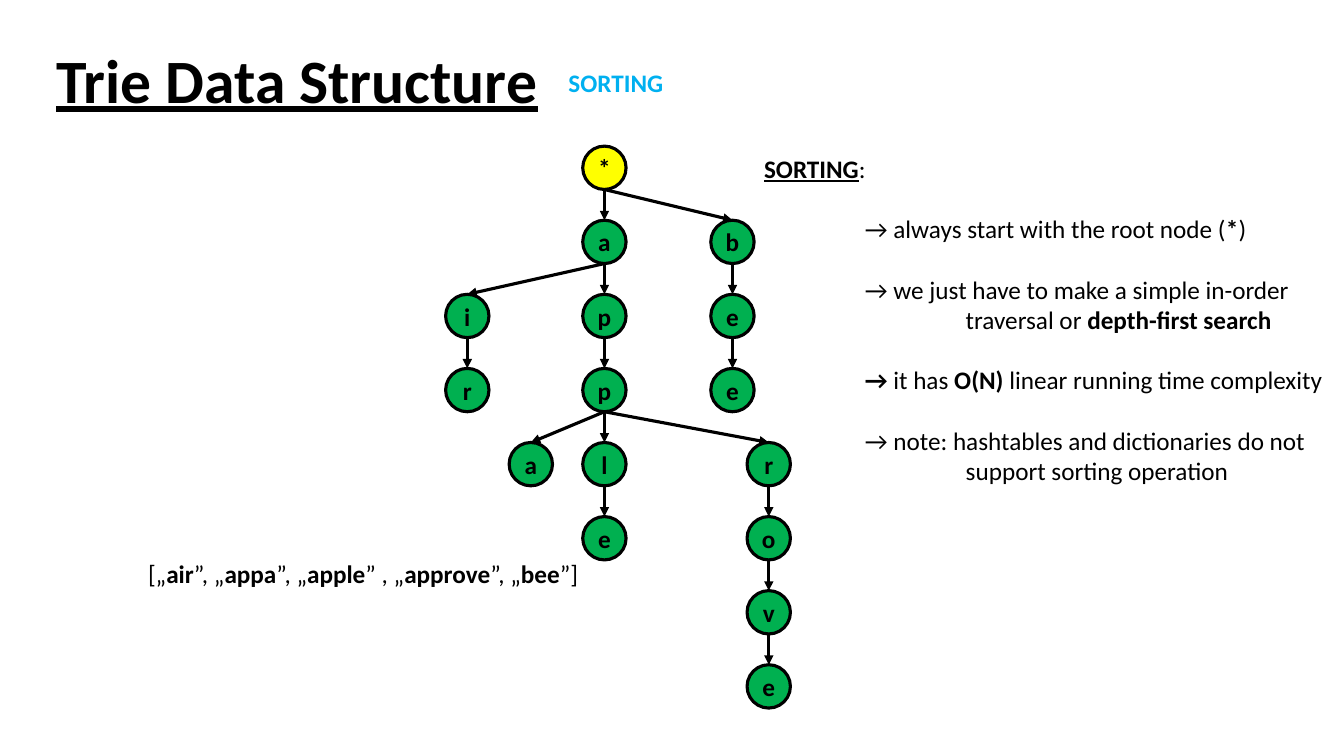
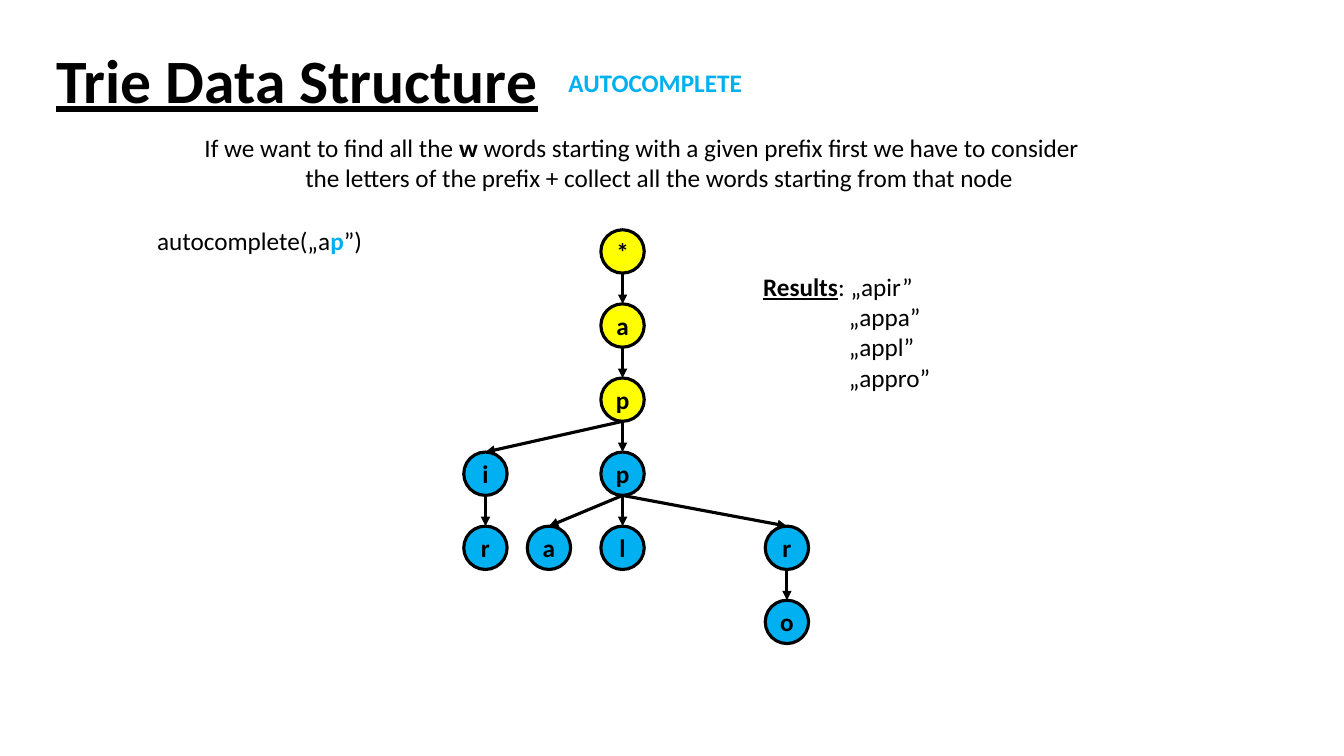
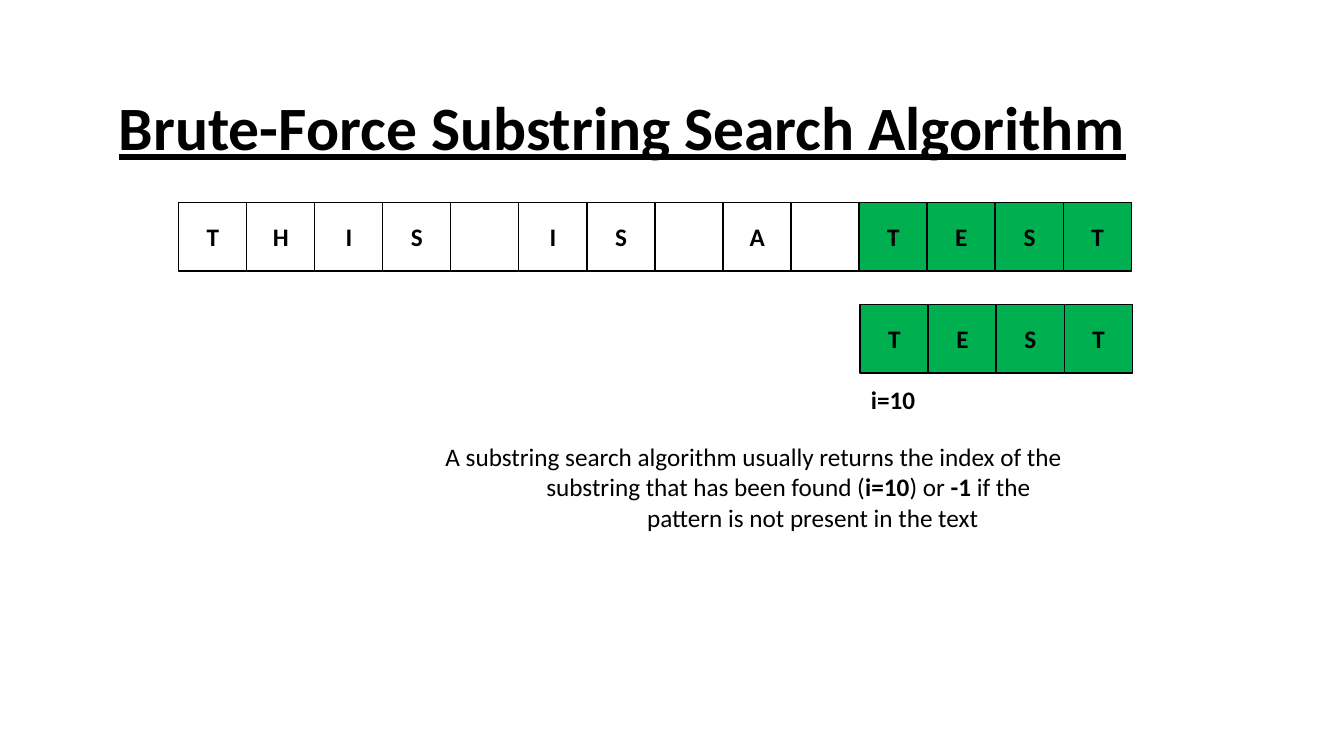
from lxml import etree
from pptx import Presentation
from pptx.dml.color import RGBColor
from pptx.enum.shapes import MSO_CONNECTOR, MSO_SHAPE
from pptx.enum.text import MSO_ANCHOR, MSO_AUTO_SIZE, PP_ALIGN
from pptx.oxml.ns import qn
from pptx.util import Inches, Pt

COLORS = {"black": "000000", "white": "FFFFFF", "green": "00B050",
          "yellow": "FFFF00", "blue": "00B0F0"}
RGB = {name: RGBColor.from_string(value) for name, value in COLORS.items()}
BODY = {"name": "Calibri", "size": Pt(18), "bold": False}
TITLE = {"name": "Calibri", "size": Pt(44), "bold": True, "underline": True}
CENTERED = {"word_wrap": False, "vertical_anchor": MSO_ANCHOR.MIDDLE,
            "margin_left": 0, "margin_right": 0, "margin_top": 0, "margin_bottom": 0}
LINE_GAP = 21.6

deck = Presentation()
deck.slide_width, deck.slide_height = Inches(13.33), Inches(7.5)


def write(frame, paragraphs, base=BODY, align=PP_ALIGN.LEFT):
    """Fill a frame from (text, indent, space before, emphasis); |bars| mark emphasis."""
    for number, (text, indent, gap, emphasis) in enumerate(paragraphs):
        para = frame.paragraphs[0] if number == 0 else frame.add_paragraph()
        para.alignment = align
        para.space_before = Pt(gap)
        para._p.get_or_add_pPr().set("marL", str(Inches(indent)))
        for part, words in enumerate(text.split("|")):
            if not words:
                continue
            span = para.add_run()
            span.text = words
            style = dict(base, color="black")
            if part % 2:
                style.update({"bold": True}, **emphasis)
            span.font.color.rgb = RGB[style.pop("color")]
            for key, value in style.items():
                setattr(span.font, key, value)


def add_shape_with_letter(page, kind, left, top, size, fill, line_width, letter):
    shape = page.shapes.add_shape(kind, Inches(left), Inches(top), Inches(size), Inches(size))
    shape.shadow.inherit = False
    shape.fill.solid()
    shape.fill.fore_color.rgb = RGB[fill]
    shape.line.color.rgb = RGB["black"]
    shape.line.width = Pt(line_width)
    for key, value in CENTERED.items():
        setattr(shape.text_frame, key, value)
    if letter.strip():
        write(shape.text_frame, [(f"|{letter}|", 0, 0, {})], align=PP_ALIGN.CENTER)


# Slide contents: title and text boxes (left, top, width, height, paragraphs)
UNDERLINED = {"underline": True}
BLUE = {"color": "blue"}
contents = [
    ("Trie Data Structure", 0.46, 0.1, [
        (5.54, 0.62, 1.4, 0.4, [("|SORTING|", 0, 0, BLUE)]),
        (7.48, 1.47, 5.82, 3.43, [
            ("|SORTING|:", 0, 0, UNDERLINED),
            ("→ always start with the root node (|*|)", 1, LINE_GAP, {}),
            ("→ we just have to make a simple in-order", 1, LINE_GAP, {}),
            ("traversal or |depth-first search|", 2, 0, {}),
            ("|→ |it has |O(N) |linear running time complexity", 1, LINE_GAP, {}),
            ("→ note: hashtables and dictionaries do not", 1, LINE_GAP, {}),
            ("support sorting operation", 2, 0, {})]),
        (1.37, 5.49, 4.6, 0.4, [
            ("[„|air|”, „|appa|”, „|apple|” , „|approve|”, „|bee|”]", 0, 0, {})]),
    ]),
    ("Trie Data Structure", 0.46, 0.1, [
        (5.54, 0.62, 2.2, 0.4, [("|AUTOCOMPLETE|", 0, 0, BLUE)]),
        (1.93, 1.26, 9.2, 0.7, [
            ("If we want to find all the |w |words starting with a given prefix "
             "first we have to consider", 0, 0, {}),
            ("the letters of the prefix + collect all the words starting from that node",
             1, 0, {})]),
        (1.46, 2.19, 2.5, 0.4, [("autocomplete(„a|p|”)", 0, 0, BLUE)]),
        (7.47, 2.64, 2.1, 1.31, [
            ("|Results|: „apir”", 0, 0, UNDERLINED),
            ("„appa”", 0.85, 0, {}),
            ("„appl”", 0.85, 0, {}),
            ("„appro”", 0.85, 0, {})]),
    ]),
    ("Brute-Force Substring Search Algorithm", 1.08, 0.57, [
        (8.54, 3.76, 0.8, 0.4, [("|i=10|", 0, 0, {})]),
        (4.32, 4.33, 6.6, 1.01, [
            ("A substring search algorithm usually returns the index of the", 0, 0, {}),
            ("substring that has been found (|i=10|) or |-1| if the", 1, 0, {}),
            ("pattern is not present in the text", 2, 0, {})]),
    ]),
]

pages = []
for heading, left, top, boxes in contents:
    page = deck.slides.add_slide(deck.slide_layouts[5])
    pages.append(page)
    title = page.shapes.title
    title.left, title.top = Inches(left), Inches(top)
    title.width, title.height = Inches(11.5), Inches(1.45)
    title.text_frame.auto_size = MSO_AUTO_SIZE.NONE
    title.text_frame.vertical_anchor = MSO_ANCHOR.MIDDLE
    write(title.text_frame, [(heading, 0, 0, {})], base=TITLE)
    title.text_frame.paragraphs[0].line_spacing = 0.9
    for *place, paragraphs in boxes:
        box = page.shapes.add_textbox(*map(Inches, place))
        box.text_frame.word_wrap = True
        write(box.text_frame, paragraphs)

# Tries: each node is (letter, column, level, parent number, fill)
NODE, LEVEL = 0.43, 0.735
COLUMNS = {"far left": -1.36, "left": -0.73, "middle": 0, "right": 1.27, "far right": 1.63}
tries = [
    (pages[0], 5.78, 1.45, [
        ("*", "middle", 0, None, "yellow"),
        ("a", "middle", 1, 0, "green"),
        ("p", "middle", 2, 1, "green"),
        ("p", "middle", 3, 2, "green"),
        ("l", "middle", 4, 3, "green"),
        ("e", "middle", 5, 4, "green"),
        ("i", "far left", 2, 1, "green"),
        ("r", "far left", 3, 6, "green"),
        ("r", "far right", 4, 3, "green"),
        ("o", "far right", 5, 8, "green"),
        ("v", "far right", 6, 9, "green"),
        ("e", "far right", 7, 10, "green"),
        ("a", "left", 4, 3, "green"),
        ("b", "right", 1, 0, "green"),
        ("e", "right", 2, 13, "green"),
        ("e", "right", 3, 14, "green")]),
    (pages[1], 5.96, 2.28, [
        ("*", "middle", 0, None, "yellow"),
        ("a", "middle", 1, 0, "yellow"),
        ("p", "middle", 2, 1, "yellow"),
        ("p", "middle", 3, 2, "blue"),
        ("l", "middle", 4, 3, "blue"),
        ("i", "far left", 3, 2, "blue"),
        ("r", "far left", 4, 5, "blue"),
        ("r", "far right", 4, 3, "blue"),
        ("o", "far right", 5, 7, "blue"),
        ("a", "left", 4, 3, "blue")]),
]
for page, root_left, root_top, nodes in tries:
    corners = [(root_left + COLUMNS[column], root_top + level * LEVEL)
               for letter, column, level, parent, fill in nodes]
    for (letter, column, level, parent, fill), (left, top) in zip(nodes, corners):
        add_shape_with_letter(page, MSO_SHAPE.OVAL, left, top, NODE, fill, 2.25, letter)
        if parent is None:
            continue
        parent_left, parent_top = corners[parent]
        arrow = page.shapes.add_connector(
            MSO_CONNECTOR.STRAIGHT,
            Inches(parent_left + NODE / 2), Inches(parent_top + NODE),
            Inches(left + NODE / 2), Inches(top))
        arrow.line.color.rgb = RGB["black"]
        arrow.line.width = Pt(2.25)
        etree.SubElement(arrow.line._get_or_add_ln(), qn("a:tailEnd"), type="triangle")
        etree.SubElement(arrow._element.spPr, qn("a:effectLst"))

# Searched text and pattern, one square per letter; green from the match on
CELL, CELL_STEP = 0.68, 0.675
for letters, row_left, row_top, match in [("THIS IS A TEST", 1.77, 2.01, 10),
                                          ("TEST", 8.53, 3.02, 0)]:
    for index, letter in enumerate(letters):
        add_shape_with_letter(pages[2], MSO_SHAPE.RECTANGLE, row_left + index * CELL_STEP,
                              row_top, CELL, "green" if index >= match else "white", 1, letter)

deck.save("out.pptx")
